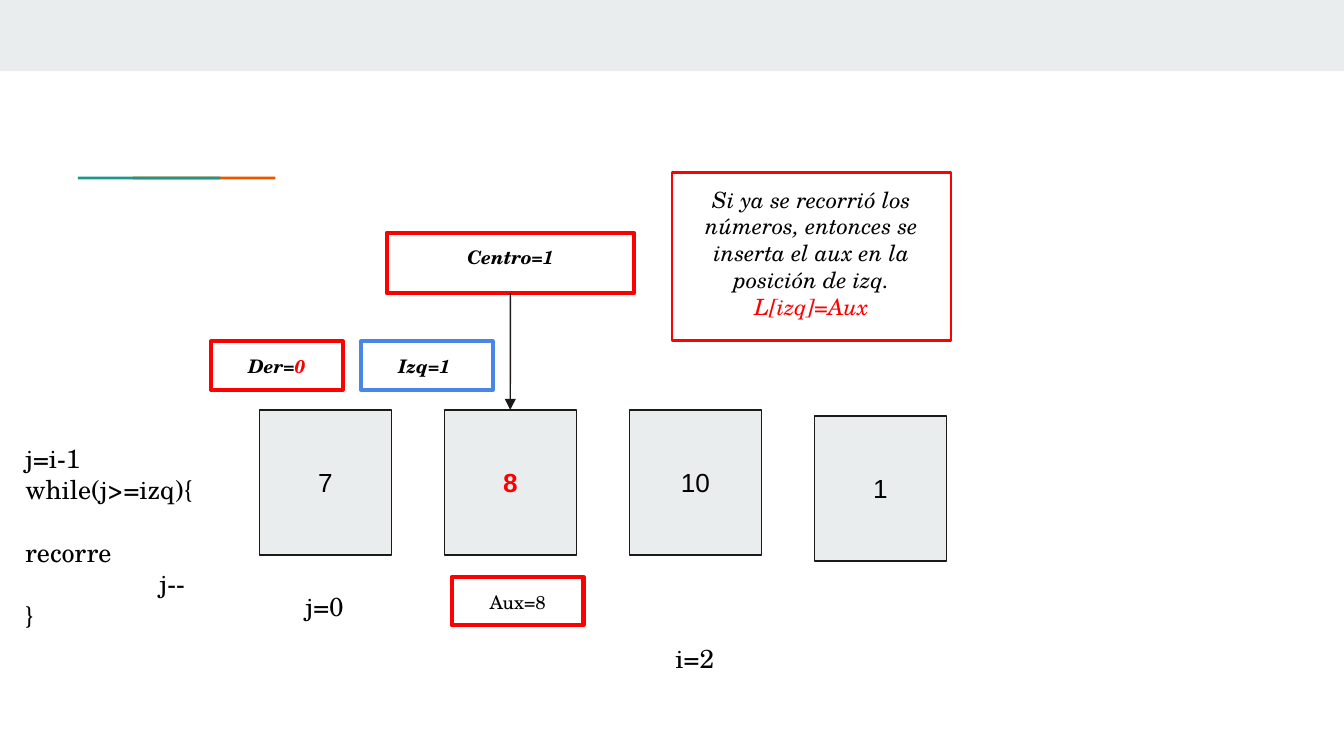
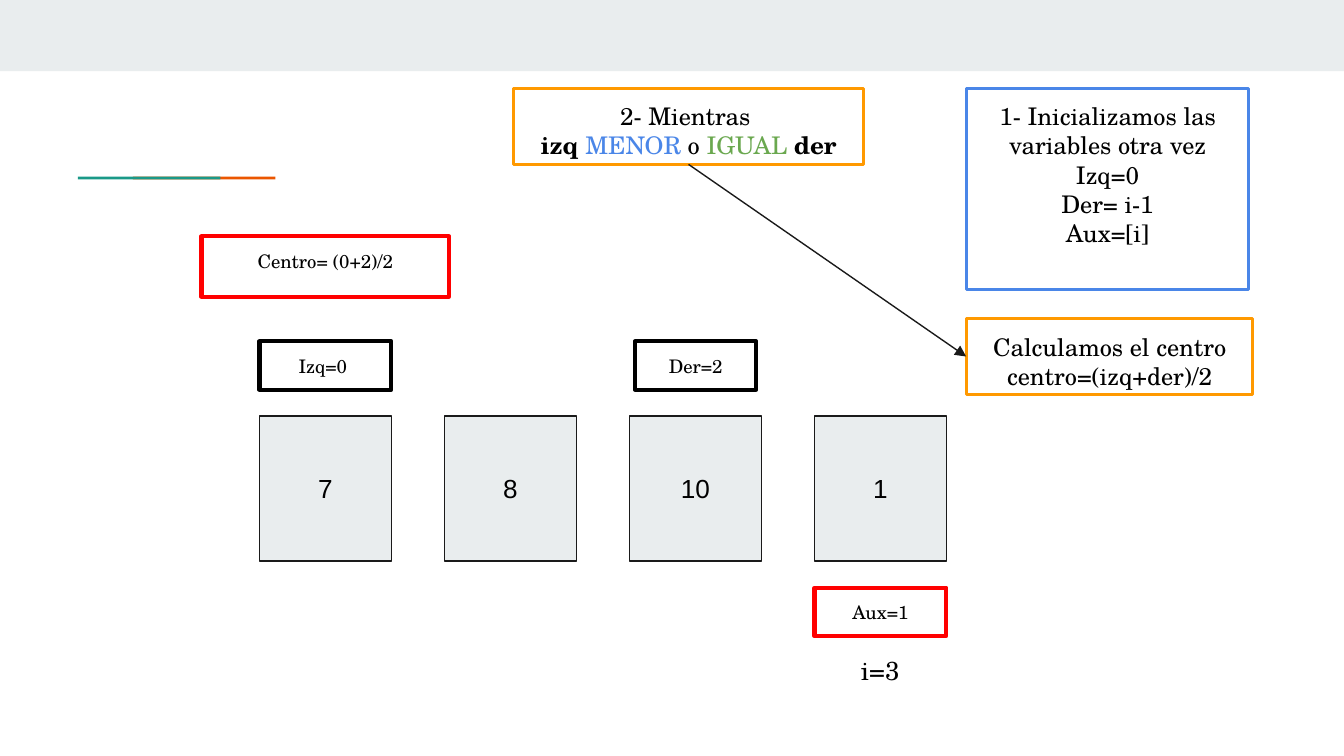
"""Builds two slides that trace a binary insertion sort."""
from typing import NamedTuple

from lxml.etree import SubElement
from pptx import Presentation
from pptx.dml.color import RGBColor
from pptx.enum.shapes import MSO_CONNECTOR, MSO_SHAPE
from pptx.enum.text import MSO_ANCHOR, PP_ALIGN
from pptx.oxml.ns import qn
from pptx.util import Pt

COLORS = {
    "band": "E9EDEE",
    "orange": "EB5600",
    "teal": "1A9988",
    "ink": "1A1A1A",
    "black": "000000",
    "red": "FF0000",
    "blue": "4A86E8",
    "amber": "FF9900",
    "green": "6AA84F",
}
SERIF = "TeX Gyre Schola"
SANS = "Arial"
BOTTOM, LEFT, TOP = 2, 1, 0
CELL_WIDTH, CELL_HEIGHT, CELL_PITCH = 70.6, 77.8, 99.1
LABEL_WIDTH, LABEL_HEIGHT = 70.6, 25.9
CENTER_WIDTH, CENTER_HEIGHT = 132.5, 32.4
INDEX_WIDTH = 37.4


class Box(NamedTuple):
    left: float
    top: float
    width: float
    height: float

    def inner(self, left, top, width, height):
        return Box(self.left + left, self.top + top, width, height)

    def lengths(self):
        return [Pt(round(value, 2)) for value in self]


class Span(NamedTuple):
    text: str
    color: str = "black"
    bold: bool = False
    italic: bool = False


def rgb(name):
    return RGBColor.from_string(COLORS[name])


def write(shape, paragraphs, size, font=SERIF, align=PP_ALIGN.CENTER,
          anchor=MSO_ANCHOR.TOP, tab=None):
    frame = shape.text_frame
    frame.word_wrap = True
    frame.vertical_anchor = anchor
    frame.margin_left = frame.margin_right = Pt(7.2)
    frame.margin_top = frame.margin_bottom = Pt(7.2)
    for number, spans in enumerate(paragraphs):
        paragraph = frame.add_paragraph() if number else frame.paragraphs[0]
        paragraph.alignment = align
        if tab:
            stops = SubElement(paragraph._p.get_or_add_pPr(), qn("a:tabLst"))
            SubElement(stops, qn("a:tab"), pos=str(Pt(tab)), algn="l")
        for span in spans:
            for index, line in enumerate(span.text.split("\n")):
                if index:
                    paragraph.add_line_break()
                if line:
                    run = paragraph.add_run()
                    run.text = line
                    run.font.name = font
                    run.font.size = Pt(size)
                    run.font.bold = span.bold
                    run.font.italic = span.italic
                    run.font.color.rgb = rgb(span.color)


def draw_rectangle(page, box, fill=None, line=None, weight=0.75):
    shape = page.shapes.add_shape(MSO_SHAPE.RECTANGLE, *box.lengths())
    shape.shadow.inherit = False
    if fill:
        shape.fill.solid()
        shape.fill.fore_color.rgb = rgb(fill)
    else:
        shape.fill.background()
    if line:
        shape.line.color.rgb = rgb(line)
        shape.line.width = Pt(weight)
    else:
        shape.line.fill.background()
    return shape


def draw_label(page, box, line, *spans):
    shape = draw_rectangle(page, box, line=line, weight=2.25)
    write(shape, [spans], 10)
    return shape


def draw_note(page, box, line, paragraphs, size=13):
    shape = draw_rectangle(page, box, line=line, weight=1.5)
    write(shape, paragraphs, size)
    return shape


def draw_text(page, box, paragraphs, **options):
    shape = page.shapes.add_textbox(*box.lengths())
    write(shape, paragraphs, 14, **options)


def draw_arrow(page, start, start_side, end, end_side):
    arrow = page.shapes.add_connector(MSO_CONNECTOR.STRAIGHT, 0, 0, 0, 0)
    arrow.begin_connect(start, start_side)
    arrow.end_connect(end, end_side)
    arrow.line.color.rgb = rgb("ink")
    arrow.line.width = Pt(0.75)
    properties = arrow._element.spPr
    SubElement(properties.find(qn("a:ln")), qn("a:tailEnd"), type="triangle")
    SubElement(properties, qn("a:effectLst"))


def draw_array(page, box, spans, drops=(0, 0, 0, 0)):
    cells = []
    for column, (span, drop) in enumerate(zip(spans, drops)):
        place = box.inner(column * CELL_PITCH, drop, CELL_WIDTH, box.height)
        cell = draw_rectangle(page, place, fill="band", line="ink")
        write(cell, [[span]], 14, font=SANS, anchor=MSO_ANCHOR.MIDDLE)
        cells.append(cell)
    return cells


def draw_frame(page, area):
    draw_rectangle(page, area.inner(0, 0, area.width, 38.2), fill="band")
    for left, color in ((71.2, "orange"), (41.8, "teal")):
        draw_rectangle(page, area.inner(left, 94.6, 76.3, 1.6), fill=color)


def draw_insertion(page, area):
    draw_frame(page, area)
    cells = draw_array(
        page, area.inner(139, 219.6, 4 * CELL_PITCH, CELL_HEIGHT),
        [Span("7"), Span("8", "red", bold=True), Span("10"), Span("1")],
        drops=(0, 0, 0, 3.2))
    strong = {"bold": True, "italic": True}
    draw_label(page, area.inner(193.4, 182.9, LABEL_WIDTH, LABEL_HEIGHT),
               "blue", Span("Izq=1 ", **strong))
    center = draw_label(
        page, area.inner(207.2, 124.7, CENTER_WIDTH, CENTER_HEIGHT),
        "red", Span("Centro=1", **strong))
    draw_label(page, area.inner(242, 309.1, LABEL_WIDTH, LABEL_HEIGHT),
               "red", Span("Aux=8"))
    draw_label(page, area.inner(113, 182.9, LABEL_WIDTH, LABEL_HEIGHT),
               "red", Span("Der=", **strong), Span("0", "red", **strong))
    draw_arrow(page, center, BOTTOM, cells[1], TOP)
    draw_note(page, area.inner(360, 92.3, 149.5, 90), "red", [[
        Span("Si ya se recorrió los números, entonces se inserta el aux "
             "en la posición de izq.\n", italic=True),
        Span("L[izq]=Aux", "red", italic=True)]], size=12)
    for left, top, text in ((353.5, 337, "i=2"), (155.2, 308.9, "j=0")):
        draw_text(page, area.inner(left, top, INDEX_WIDTH, LABEL_HEIGHT),
                  [[Span(text)]])
    draw_text(page, area.inner(6.5, 229.7, 107.3, 93.6), [
        [Span("j=i-1\nwhile(j>=izq){\n\trecorre\n\tj--")], [Span("}")]],
        align=PP_ALIGN.LEFT, tab=72)


def draw_restart(page, area):
    draw_frame(page, area)
    draw_array(page, area.inner(139, 222.8, 4 * CELL_PITCH, CELL_HEIGHT),
               [Span(value) for value in ("7", "8", "10", "1")])
    labels = (
        (139, 182.9, LABEL_WIDTH, LABEL_HEIGHT, "black", "Izq=0 "),
        (340.3, 182.9, 64.8, LABEL_HEIGHT, "black", "Der=2"),
        (108, 126.6, CENTER_WIDTH, CENTER_HEIGHT, "red", "Centro= (0+2)/2"),
        (436.3, 314.9, LABEL_WIDTH, LABEL_HEIGHT, "red", "Aux=1"),
    )
    for left, top, width, height, line, text in labels:
        draw_label(page, area.inner(left, top, width, height), line, Span(text))
    draw_text(page, area.inner(452.9, 343.2, INDEX_WIDTH, LABEL_HEIGHT),
              [[Span("i=3")]])
    formula = draw_note(page, area.inner(517.6, 170.6, 153.6, 40.8), "amber", [
        [Span("Calculamos el centro")], [Span("centro=(izq+der)/2")]])
    draw_note(page, area.inner(517.6, 47.2, 151.4, 107.8), "blue", [
        [Span("1- Inicializamos las variables otra vez")],
        [Span("Izq=0")], [Span("Der= i-1\nAux=[i]")]])
    condition = draw_note(page, area.inner(275, 47.2, 187.8, 40.9), "amber", [[
        Span("2- Mientras \n"), Span("izq ", bold=True), Span("MENOR", "blue"),
        Span(" o "), Span("IGUAL ", "green"), Span("der", bold=True)]])
    draw_arrow(page, condition, BOTTOM, formula, LEFT)


def main():
    deck = Presentation()
    area = Box(0, 0, 720, 405)
    deck.slide_width, deck.slide_height = Pt(area.width), Pt(area.height)
    for draw in (draw_insertion, draw_restart):
        draw(deck.slides.add_slide(deck.slide_layouts[6]), area)
    deck.save("out.pptx")


if __name__ == "__main__":
    main()
